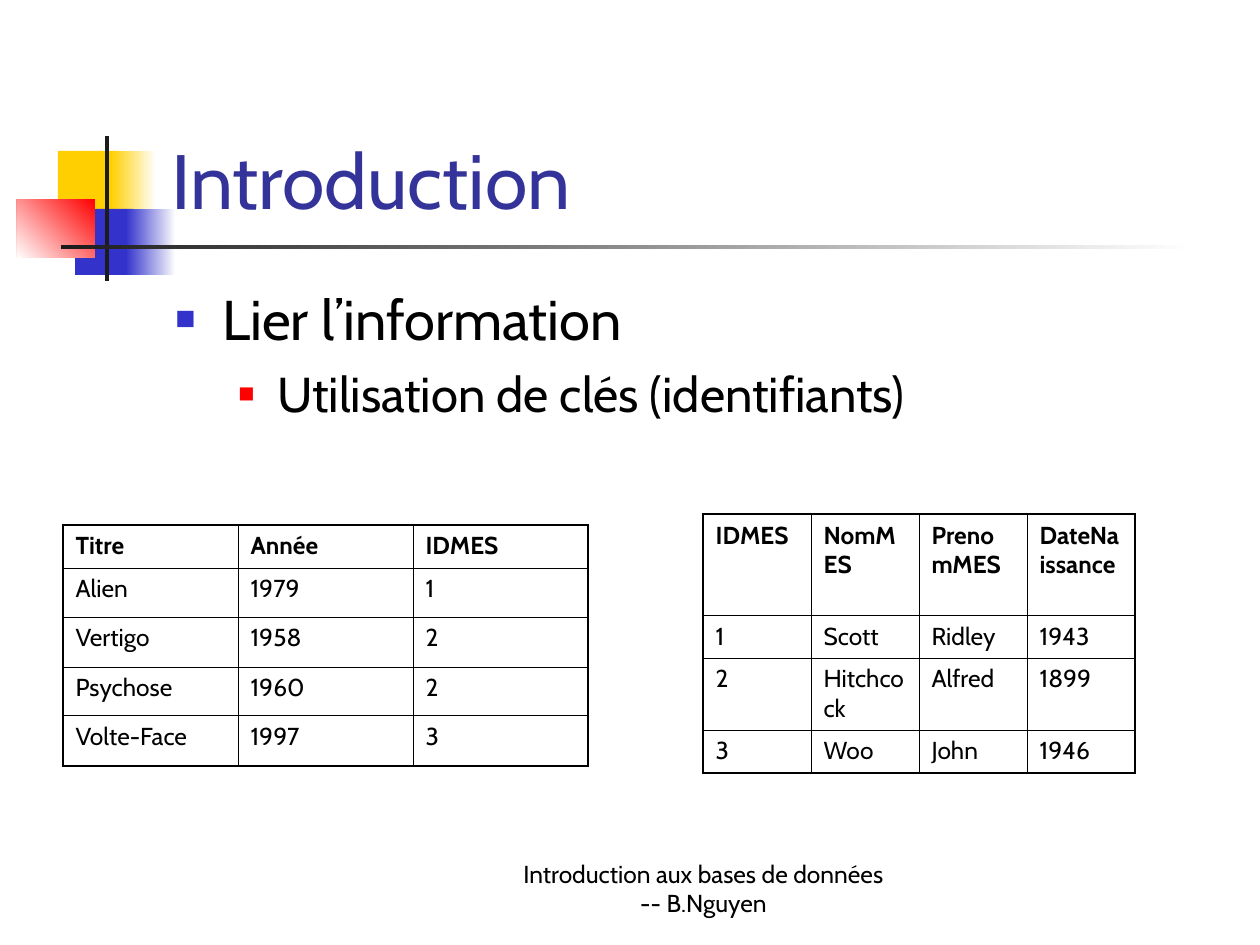
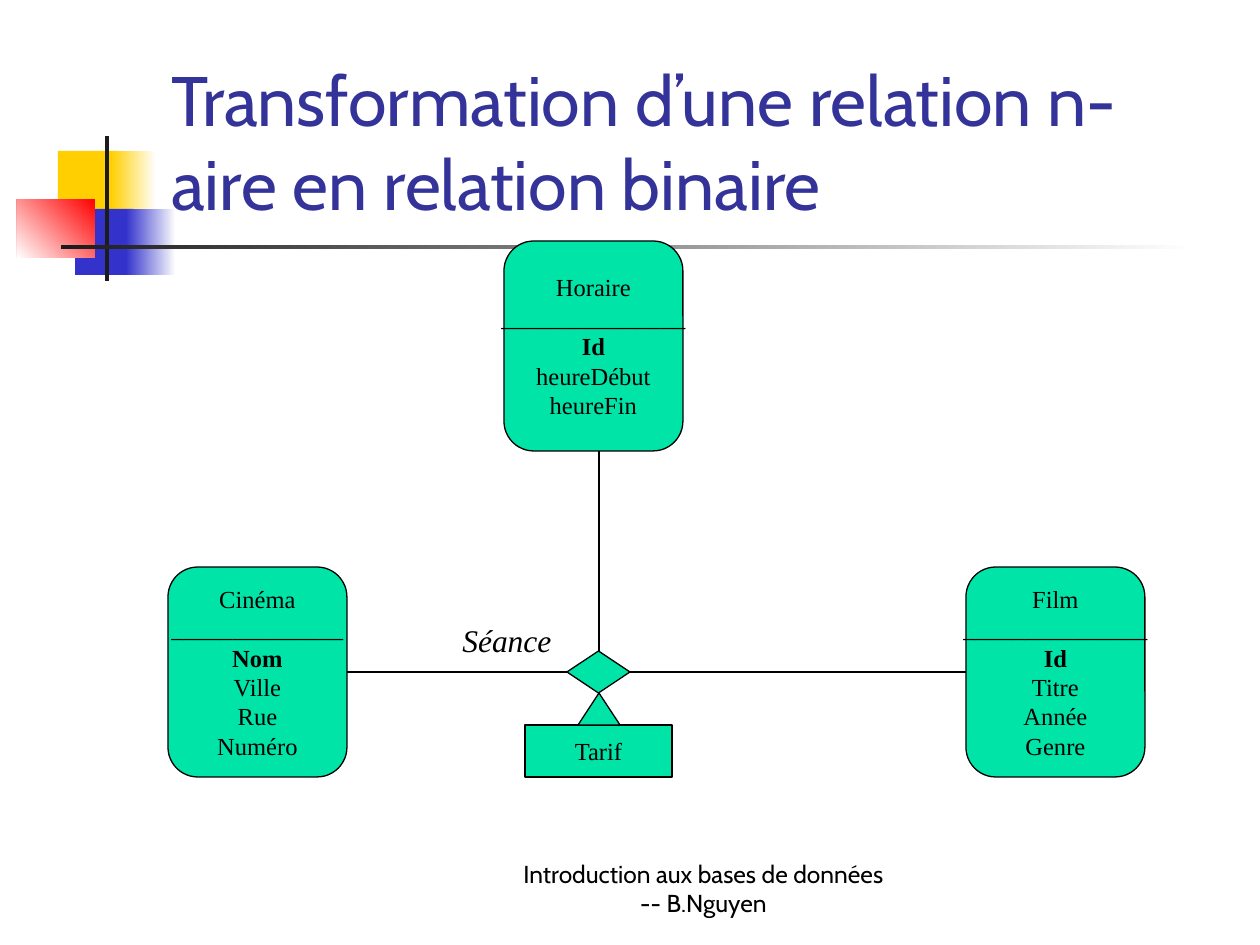
"""Build two database course slides: linking tables by keys, and a binary relation diagram."""
from lxml.etree import SubElement
from pptx import Presentation
from pptx.dml.color import RGBColor
from pptx.enum.shapes import MSO_CONNECTOR, MSO_SHAPE as SHAPE
from pptx.enum.text import MSO_ANCHOR as ANCHOR, PP_ALIGN as ALIGN
from pptx.oxml.ns import qn
from pptx.util import Emu, Pt

COLORS = {
    "title": "333399", "ink": "000000", "yellow": "FFCF01", "blue": "3333CC",
    "red": "FF0000", "bar": "1C1C1C", "white": "FFFFFF", "entity": "00E4A8",
}
SANS, SERIF = "Cabin", "Times New Roman"
EMU_PER_PX = 914400 / 126
SLIDE_SIZE = (1260, 945)
OUTER_LINE, INNER_LINE, DIAGRAM_LINE = 1.08, 0.45, 0.75

FOOTER = "Introduction aux bases de données -- B.Nguyen"
FOOTER_BOX = (504, 861, 399, 63)
TITLE_BOX = (159, 29, 1074, 202)
BODY_BOX = (163, 278, 1071, 567)

MOTIF = [
    ((58, 151, 60, 66), ("yellow",), 0),
    ((111, 151, 45, 66), ("white", "yellow"), 180),
    ((75, 209, 58, 66), ("blue",), 0),
    ((126, 209, 50, 66), ("white", "blue"), 180),
    ((17, 199, 78, 59), ("red", "white"), 225),
    ((105, 136, 4, 145), ("bar",), 0),
    ((61, 245, 1134, 4), ("white", "bar"), 180),
]

KEYS_TITLE = ("Introduction", 44)
KEYS_POINTS = [
    {"text": "Lier l’information", "size": 32, "bullet": "blue", "bullet_pct": 60,
     "margin": 47, "hanging": 47, "before": 0},
    {"text": "Utilisation de clés (identifiants)", "size": 28, "bullet": "red", "bullet_pct": 55,
     "margin": 102, "hanging": 39, "before": 7},
]
FILMS = {
    "corner": (63, 525), "column": 175, "heights": (43, 49, 50, 49, 50),
    "rows": [
        ("Titre", "Année", "IDMES"),
        ("Alien", "1979", "1"),
        ("Vertigo", "1958", "2"),
        ("Psychose", "1960", "2"),
        ("Volte-Face", "1997", "3"),
    ],
}
DIRECTORS = {
    "corner": (703, 514), "column": 108, "heights": (101, 43, 72, 43),
    "rows": [
        ("IDMES", "NomMES", "PrenomMES", "DateNaissance"),
        ("1", "Scott", "Ridley", "1943"),
        ("2", "Hitchcock", "Alfred", "1899"),
        ("3", "Woo", "John", "1946"),
    ],
}

BINARY_TITLE = ("Transformation d’une relation n-aire en relation binaire", 40)
ENTITY_SIZE = (179, 210)
ENTITIES = [
    ((168, 567), ["Cinéma", "______________", "Nom", "Ville", "Rue", "Numéro"]),
    ((504, 241), ["Horaire", "_______________", "Id", "heureDébut", "heureFin"]),
    ((966, 567), ["Film", "_______________", "Id", "Titre", "Année", "Genre"]),
]
KEY_LINE = 2
LINKS = [(347, 672, 966, 672), (599, 451, 599, 672)]
RELATION = ("Séance", (450, 615, 115, 50))
RELATION_DIAMOND = (567, 651, 63, 42)
ATTRIBUTE = ("Tarif", (525, 725, 147, 52))
ATTRIBUTE_TRIANGLE = (578, 693, 42, 32)


def px(length):
    return Emu(round(length * EMU_PER_PX))


def color(name):
    return RGBColor.from_string(COLORS[name])


def style(paragraph, size, face=SANS, ink="ink", bold=False, italic=False):
    for run in paragraph.runs:
        font = run.font
        font.size, font.name, font.bold, font.italic = Pt(size), face, bold, italic
        font.color.rgb = color(ink)


def add_text(slide, box, text, size, anchor=ANCHOR.TOP, align=ALIGN.LEFT, wrap=True, **look):
    frame = slide.shapes.add_textbox(*map(px, box)).text_frame
    frame.word_wrap, frame.vertical_anchor = wrap, anchor
    frame.text = text
    for paragraph in frame.paragraphs:
        paragraph.alignment = align
        style(paragraph, size, **look)
    return frame


def add_figure(slide, kind, box, fills, angle=0, outlined=False):
    figure = slide.shapes.add_shape(kind, *map(px, box))
    figure.shadow.inherit = False
    if len(fills) == 1:
        figure.fill.solid()
        figure.fill.fore_color.rgb = color(fills[0])
    else:
        figure.fill.gradient()
        figure.fill.gradient_angle = angle
        for stop, name in zip(figure.fill.gradient_stops, fills):
            stop.color.rgb = color(name)
    if outlined:
        figure.line.color.rgb = color("ink")
        figure.line.width = Pt(DIAGRAM_LINE)
    else:
        figure.line.fill.background()
    return figure


def add_diagram_part(slide, kind, box, lines=()):
    part = add_figure(slide, kind, box, ("entity",), outlined=True)
    if lines:
        frame = part.text_frame
        frame.word_wrap, frame.vertical_anchor = False, ANCHOR.MIDDLE
        frame.text = "\n".join(lines)
        for index, paragraph in enumerate(frame.paragraphs):
            paragraph.alignment = ALIGN.CENTER
            style(paragraph, 14, SERIF, bold=index == KEY_LINE)


def add_link(slide, ends):
    link = slide.shapes.add_connector(MSO_CONNECTOR.STRAIGHT, *map(px, ends))
    link.line.color.rgb = color("ink")
    link.line.width = Pt(DIAGRAM_LINE)
    SubElement(link._element.spPr, qn("a:effectLst"))


def add_bullet(paragraph, point):
    props = paragraph._p.get_or_add_pPr()
    props.set("marL", str(px(point["margin"])))
    props.set("indent", str(-px(point["hanging"])))
    tint = SubElement(props, qn("a:buClr"))
    SubElement(tint, qn("a:srgbClr"), val=COLORS[point["bullet"]])
    SubElement(props, qn("a:buSzPct"), val=str(point["bullet_pct"] * 1000))
    SubElement(props, qn("a:buFont"), typeface="Arial")
    SubElement(props, qn("a:buChar"), char="■")


def add_points(slide, points):
    frame = add_text(slide, BODY_BOX, "\n".join(point["text"] for point in points), 32)
    for level, (paragraph, point) in enumerate(zip(frame.paragraphs, points)):
        add_bullet(paragraph, point)
        paragraph.level = level
        paragraph.space_before = Pt(point["before"])
        style(paragraph, point["size"])


def add_border(cell, side, width):
    edge = SubElement(cell._tc.get_or_add_tcPr(), qn(f"a:ln{side}"), w=str(Pt(width)))
    SubElement(SubElement(edge, qn("a:solidFill")), qn("a:srgbClr"), val=COLORS["ink"])


def add_grid(slide, content):
    rows, heights, column = content["rows"], content["heights"], content["column"]
    last_row, last_col = len(rows) - 1, len(rows[0]) - 1
    box = (*content["corner"], column * len(rows[0]), sum(heights))
    table = slide.shapes.add_table(len(rows), len(rows[0]), *map(px, box)).table
    table.first_row = table.horz_banding = False
    for grid_column in table.columns:
        grid_column.width = px(column)
    for r, (values, height) in enumerate(zip(rows, heights)):
        table.rows[r].height = px(height)
        for c, value in enumerate(values):
            cell = table.cell(r, c)
            cell.text = value
            style(cell.text_frame.paragraphs[0], 14, bold=r == 0)
            outer = {"L": c == 0, "R": c == last_col, "T": r == 0, "B": r == last_row}
            for side, on_rim in outer.items():
                add_border(cell, side, OUTER_LINE if on_rim else INNER_LINE)
            cell.fill.background()


def start_slide(deck, title):
    slide = deck.slides.add_slide(deck.slide_layouts[6])
    for box, fills, angle in MOTIF:
        add_figure(slide, SHAPE.RECTANGLE, box, fills, angle)
    add_text(slide, TITLE_BOX, *title, anchor=ANCHOR.BOTTOM, ink="title")
    add_text(slide, FOOTER_BOX, FOOTER, 14, anchor=ANCHOR.BOTTOM, align=ALIGN.CENTER)
    return slide


def build_keys(deck):
    slide = start_slide(deck, KEYS_TITLE)
    add_points(slide, KEYS_POINTS)
    for content in (FILMS, DIRECTORS):
        add_grid(slide, content)


def build_binary(deck):
    slide = start_slide(deck, BINARY_TITLE)
    for corner, lines in ENTITIES:
        add_diagram_part(slide, SHAPE.FLOWCHART_ALTERNATE_PROCESS, (*corner, *ENTITY_SIZE), lines)
    for ends in LINKS:
        add_link(slide, ends)
    add_diagram_part(slide, SHAPE.FLOWCHART_DECISION, RELATION_DIAMOND)
    relation, relation_box = RELATION
    add_text(slide, relation_box, relation, 18, wrap=False, face=SERIF, italic=True)
    attribute, attribute_box = ATTRIBUTE
    add_diagram_part(slide, SHAPE.RECTANGLE, attribute_box, [attribute])
    add_diagram_part(slide, SHAPE.ISOSCELES_TRIANGLE, ATTRIBUTE_TRIANGLE)


def main():
    deck = Presentation()
    deck.slide_width, deck.slide_height = map(px, SLIDE_SIZE)
    build_keys(deck)
    build_binary(deck)
    deck.save("out.pptx")


if __name__ == "__main__":
    main()
